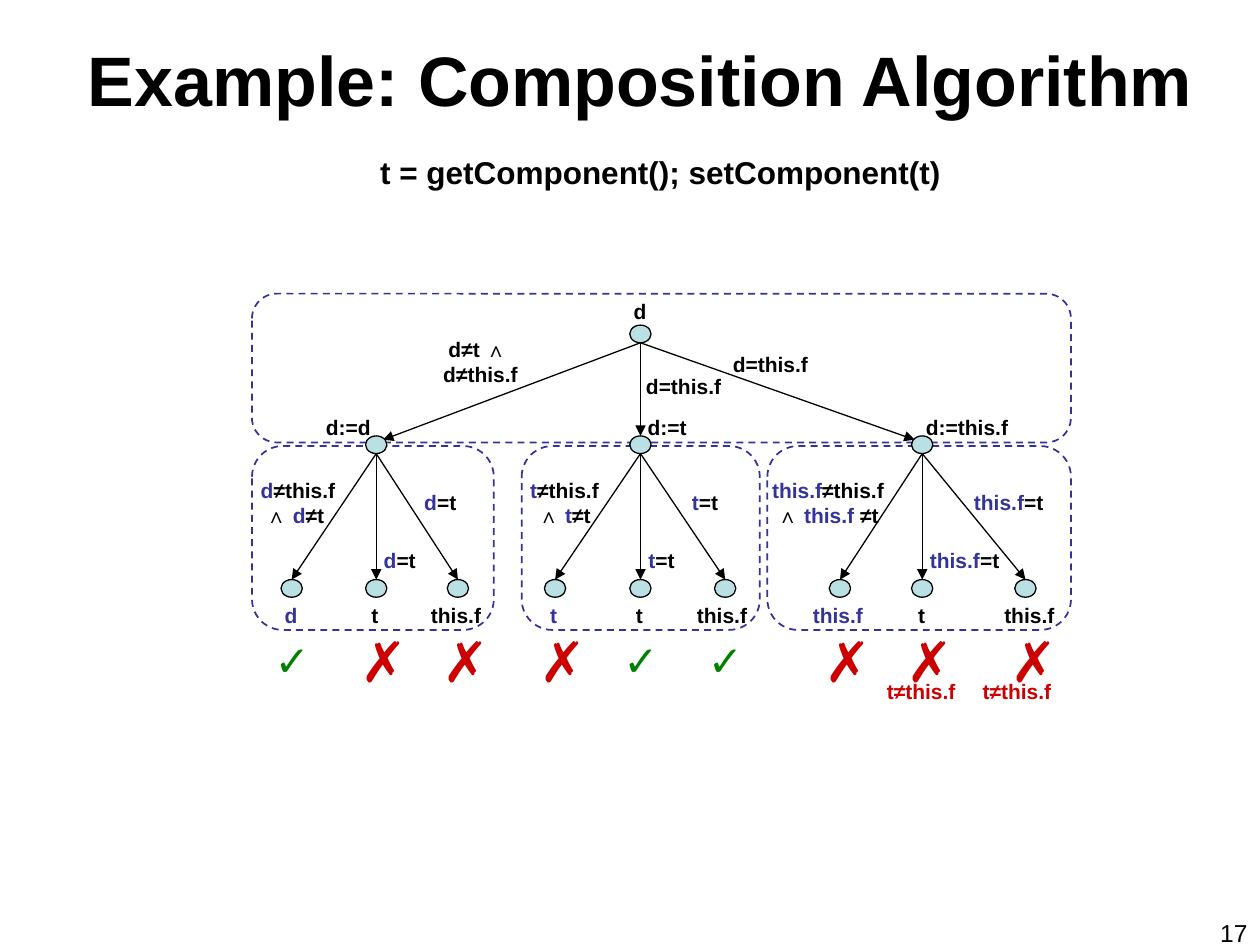
from lxml import etree
from pptx import Presentation
from pptx.dml.color import RGBColor
from pptx.enum.dml import MSO_LINE
from pptx.enum.shapes import MSO_CONNECTOR, MSO_SHAPE
from pptx.enum.text import MSO_ANCHOR, MSO_AUTO_SIZE, PP_ALIGN
from pptx.oxml.ns import qn
from pptx.util import Pt

BLACK = RGBColor(0, 0, 0)
BLUE = RGBColor(0x33, 0x33, 0x99)
RED = RGBColor(0xCC, 0, 0)
GREEN = RGBColor(0, 0x80, 0)
PALE = RGBColor(0xBB, 0xE0, 0xE3)
LEFT, MID, RIGHT = PP_ALIGN.LEFT, PP_ALIGN.CENTER, PP_ALIGN.RIGHT
TOP, MIDDLE = MSO_ANCHOR.TOP, MSO_ANCHOR.MIDDLE
GROW, FIXED = MSO_AUTO_SIZE.SHAPE_TO_FIT_TEXT, MSO_AUTO_SIZE.NONE
LINE, OVAL, ROUND = MSO_CONNECTOR.STRAIGHT, MSO_SHAPE.OVAL, MSO_SHAPE.ROUNDED_RECTANGLE
DASH = MSO_LINE.DASH

deck = Presentation()
deck.slide_width, deck.slide_height = Pt(720), Pt(540)
slide = deck.slides.add_slide(deck.slide_layouts[6])
shapes = slide.shapes


def write(x, y, w, h, runs, size=12, align=MID, bold=True, wrap=False, fit=GROW, anchor=TOP):
    slack = 1 if align == MID and not wrap else 0
    frame = shapes.add_textbox(Pt(x - slack), Pt(y), Pt(w + 2 * slack), Pt(h)).text_frame
    form = {"word_wrap": wrap, "auto_size": fit, "vertical_anchor": anchor}
    for name, value in form.items():
        setattr(frame, name, value)
    para = frame.paragraphs[0]
    para.alignment = align
    for words, color in runs:
        for row, part in enumerate(words.split("\n")):
            if row:
                para.add_line_break()
            run = para.add_run()
            run.text = part
            for name, value in {"name": "Arial", "size": Pt(size), "bold": bold}.items():
                setattr(run.font, name, value)
            run.font.color.rgb = color


def arrow(x1, y1, x2, y2):
    edge = shapes.add_connector(LINE, Pt(x1), Pt(y1), Pt(x2), Pt(y2))
    edge.line.color.rgb = BLACK
    edge.line.width = Pt(0.75)
    props = edge.element.spPr
    etree.SubElement(props.find(qn("a:ln")), qn("a:tailEnd"), type="triangle")
    etree.SubElement(props, qn("a:effectLst"))


ROOT = 366
TIERS = 185.8, 249.1, 331.2
DOT_W, DOT_H = 12.2, 10.1
WIDTH = {"d": 21.6, "t": 18, "this.f": 43.2}
MARKS = {"✓": (16.9, 359.3, 33, 36, 24, GREEN), "✗": (15.9, 354.2, 29.5, 46, 32, RED)}

frames = [(144, 167.8, 468, 85), (144, 254.9, 138.2, 105.1),
          (298.1, 254.9, 136.1, 105.1), (438.5, 254.9, 173.5, 105.1)]
for x, y, w, h in frames:
    box = shapes.add_shape(ROUND, Pt(x), Pt(y), Pt(w), Pt(h))
    box.shadow.inherit = False
    box.adjustments[0] = 0.167
    box.fill.background()
    box.line.color.rgb = BLUE
    for name, value in {"width": Pt(1), "dash_style": DASH}.items():
        setattr(box.line, name, value)

trees = [
    {"hub": 215, "tip": (218.9, 251.3), "var": "d", "guard": ("≠this.f\n∧ ", "d"),
     "first": (140.4, 59.8), "side": 235.4, "wide": 32.4, "set": ("d:=d", 179.3, 39.6),
     "leaves": [(166.7, "d", "✓", 166.3), (215, "t", "✗", 214.2), (261.7, "this.f", "✗", 260.6)]},
    {"hub": 366, "tip": (366, 249.1), "var": "t", "guard": ("≠this.f\n ∧ ", "t"),
     "first": (294.5, 56.2), "side": 388.1, "wide": 29.5, "set": ("d:=t", 362.9, 36.7),
     "leaves": [(317.2, "t", "✗", 316.4), (366, "t", "✓", 365.4), (414.4, "this.f", "✓", 412.6)]},
    {"hub": 527, "tip": (522.7, 251.3), "var": "this.f", "guard": ("≠this.f \n∧ ", "this.f "),
     "first": (432.7, 84.2), "side": 549.4, "wide": 54, "set": ("d:=this.f", 522, 61.2),
     "leaves": [(480, "this.f", "✗", 478.8), (527, "t", "✗", 526.7), (586, "this.f", "✗", 588.2)]},
]

dots = [(ROOT, TIERS[0])]
for tree in trees:
    hub, var, wide = tree["hub"], tree["var"], tree["wide"]
    dots.append((hub, TIERS[1]))
    arrow(ROOT, TIERS[0] + DOT_H, *tree["tip"])
    for rank, (x, word, mark, mid) in enumerate(tree["leaves"]):
        dots.append((x, TIERS[2]))
        arrow(hub, TIERS[1] + DOT_H, x, TIERS[2])
        w = WIDTH[word]
        write(mid - w / 2, 340.6, w, 21.6, [(word, BLACK if rank else BLUE)])
        shift, y, w, h, size, color = MARKS[mark]
        write(x - shift, y, w, h, [(mark, color)], size, LEFT)
    link, again = tree["guard"]
    x, w = tree["first"]
    write(x, 269.3, w, 36, [(var, BLUE), (link, BLACK), (again, BLUE), ("≠t ", BLACK)])
    for x, y in [(hub - 2.8, 309.6), (tree["side"], 276.5)]:
        write(x, y, wide, 21.6, [(var, BLUE), ("=t", BLACK)])
    word, x, w = tree["set"]
    write(x, 233.3, w, 21.6, [(word, BLACK)])

for x, y in dots:
    dot = shapes.add_shape(OVAL, Pt(x - DOT_W / 2), Pt(y), Pt(DOT_W), Pt(DOT_H))
    dot.shadow.inherit = False
    dot.fill.solid()
    dot.fill.fore_color.rgb = PALE
    dot.line.color.rgb = BLACK
    dot.line.width = Pt(0.75)

write(355, 167, 21.6, 21.6, [("d", BLACK)])
write(241.2, 188.6, 63.4, 36, [("d≠t ∧\n d≠this.f", BLACK)])
for x, y in [(362.2, 210.2), (411.8, 197.3)]:
    write(x, y, 56.9, 21.6, [("d=this.f", BLACK)])
for x in (499.7, 554.4):
    write(x, 384.5, 56.2, 21.6, [("t≠this.f", RED)], align=LEFT)

write(23.8, 5.8, 684, 77.8, [("Example: Composition Algorithm", BLACK)], 40,
      wrap=True, fit=FIXED, anchor=MIDDLE)
write(210.2, 84.2, 360, 28.8, [("t = getComponent(); setComponent(t)", BLACK)], 18, LEFT, wrap=True)
write(552.2, 521.3, 167.8, 37.4, [("17", BLACK)], 14, RIGHT, False, True, FIXED)

deck.save("out.pptx")
